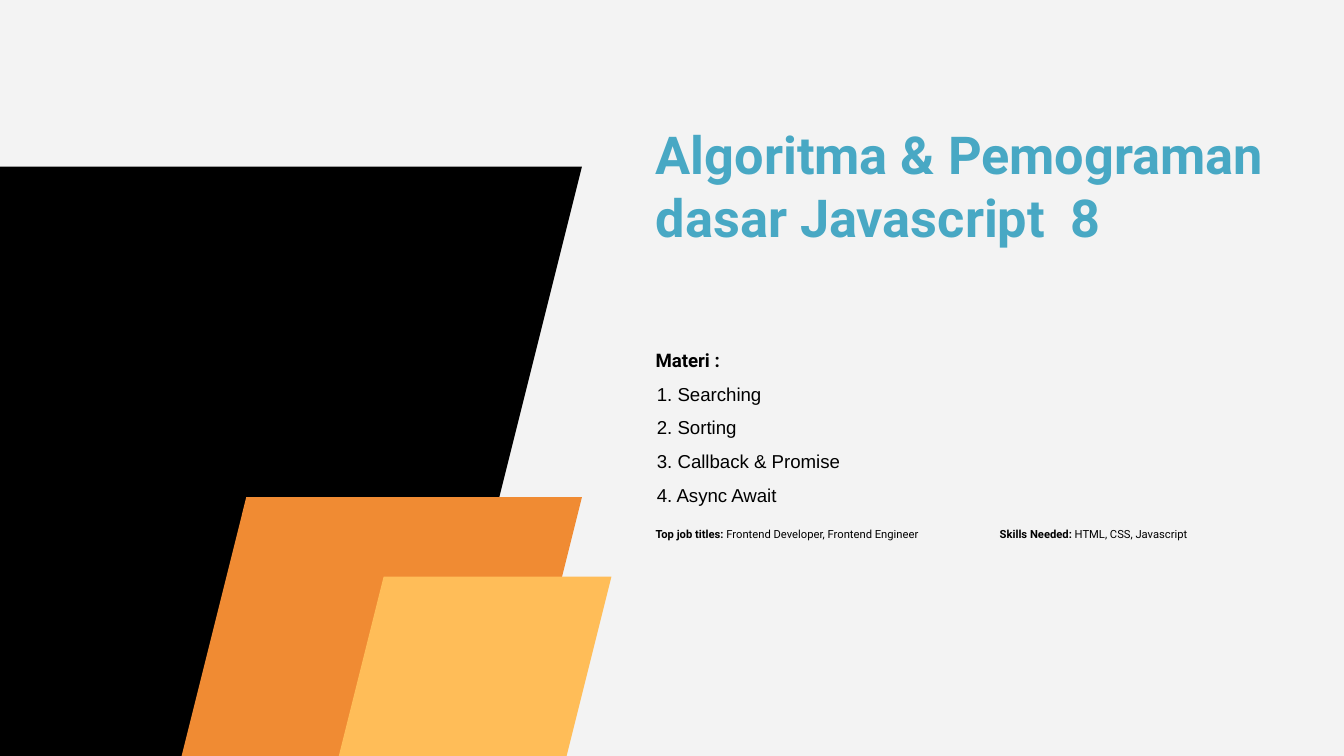
from pptx import Presentation
from pptx.dml.color import RGBColor
from pptx.enum.shapes import MSO_SHAPE
from pptx.enum.text import MSO_ANCHOR, MSO_AUTO_SIZE, PP_ALIGN
from pptx.util import Inches, Pt

COLORS = {
    "background": "F3F3F3",
    "black": "000000",
    "orange": "F08B33",
    "yellow": "FFBD58",
    "title": "48A8C4",
}
TEXT_LEFT = 4.78
DETAILS_TOP = 3.85
TOPICS = ["Searching", "Sorting", "Callback & Promise", "Async Await"]


def color(name):
    return RGBColor.from_string(COLORS[name])


def set_font(font, size, name="Roboto", bold=False, color_name="black"):
    font.size = Pt(size)
    font.name = name
    font.bold = bold
    font.color.rgb = color(color_name)


def prepare_frame(shape):
    frame = shape.text_frame
    frame.word_wrap = True
    frame.auto_size = MSO_AUTO_SIZE.NONE
    frame.vertical_anchor = MSO_ANCHOR.TOP
    frame.margin_left = frame.margin_right = Inches(0.1)
    frame.margin_top = frame.margin_bottom = Inches(0.1)
    return frame


def add_text_frame(slide, box):
    return prepare_frame(slide.shapes.add_textbox(*map(Inches, box)))


def add_parallelogram(slide, box, color_name):
    shape = slide.shapes.add_shape(MSO_SHAPE.PARALLELOGRAM, *map(Inches, box))
    shape.adjustments[0] = 0.25
    shape.shadow.inherit = False
    shape.fill.solid()
    shape.fill.fore_color.rgb = color(color_name)
    shape.line.fill.background()


def place_title(slide, box, text):
    title = slide.shapes.title
    title.left, title.top, title.width, title.height = map(Inches, box)
    frame = prepare_frame(title)
    frame.text = text
    paragraph = frame.paragraphs[0]
    paragraph.alignment = PP_ALIGN.LEFT
    set_font(paragraph.font, 28, bold=True, color_name="title")


def add_topics(slide, box, heading, topics):
    frame = add_text_frame(slide, box)
    paragraph = frame.paragraphs[0]
    paragraph.text = heading
    paragraph.line_spacing = 1.15
    set_font(paragraph.font, 10, bold=True)
    for number, topic in enumerate(topics, start=1):
        paragraph = frame.add_paragraph()
        paragraph.text = f"{number}. {topic}"
        paragraph.line_spacing = 1.5
        properties = paragraph._p.get_or_add_pPr()
        properties.set("marL", str(Inches(0.01)))
        properties.set("indent", "0")
        set_font(paragraph.font, 10, name="Arial")


def add_detail(slide, box, label, value):
    frame = add_text_frame(slide, box)
    frame.margin_top = Inches(0.06)
    paragraph = frame.paragraphs[0]
    paragraph.line_spacing = 1.15
    for text, bold in ((f"{label} ", True), (value, False)):
        run = paragraph.add_run()
        run.text = text
        set_font(run.font, 6, bold=bold)


def main():
    presentation = Presentation()
    presentation.slide_width = Inches(10)
    presentation.slide_height = presentation.slide_width * 9 // 16
    slide = presentation.slides.add_slide(presentation.slide_layouts[5])
    slide.background.fill.solid()
    slide.background.fill.fore_color.rgb = color("background")

    # Slanted blocks on the left, back to front
    add_parallelogram(slide, (-1.15, 1.24, 5.48, 4.39), "black")
    add_parallelogram(slide, (1.35, 3.7, 2.98, 1.93), "orange")
    add_parallelogram(slide, (2.52, 4.29, 2.03, 1.34), "yellow")

    # Title and topic list
    place_title(slide, (TEXT_LEFT, 0.81, 4.96, 0.62),
                "Algoritma & Pemograman dasar Javascript  8")
    add_topics(slide, (TEXT_LEFT, 2.47, 4.86, 1.05), "Materi :", TOPICS)

    # Job titles and skills
    add_detail(slide, (TEXT_LEFT, DETAILS_TOP, 2.57, 0.32),
               "Top job titles:", "Frontend Developer, Frontend Engineer")
    add_detail(slide, (7.34, DETAILS_TOP, 2.46, 0.32),
               "Skills Needed:", "HTML, CSS, Javascript")

    presentation.save("out.pptx")


if __name__ == "__main__":
    main()
